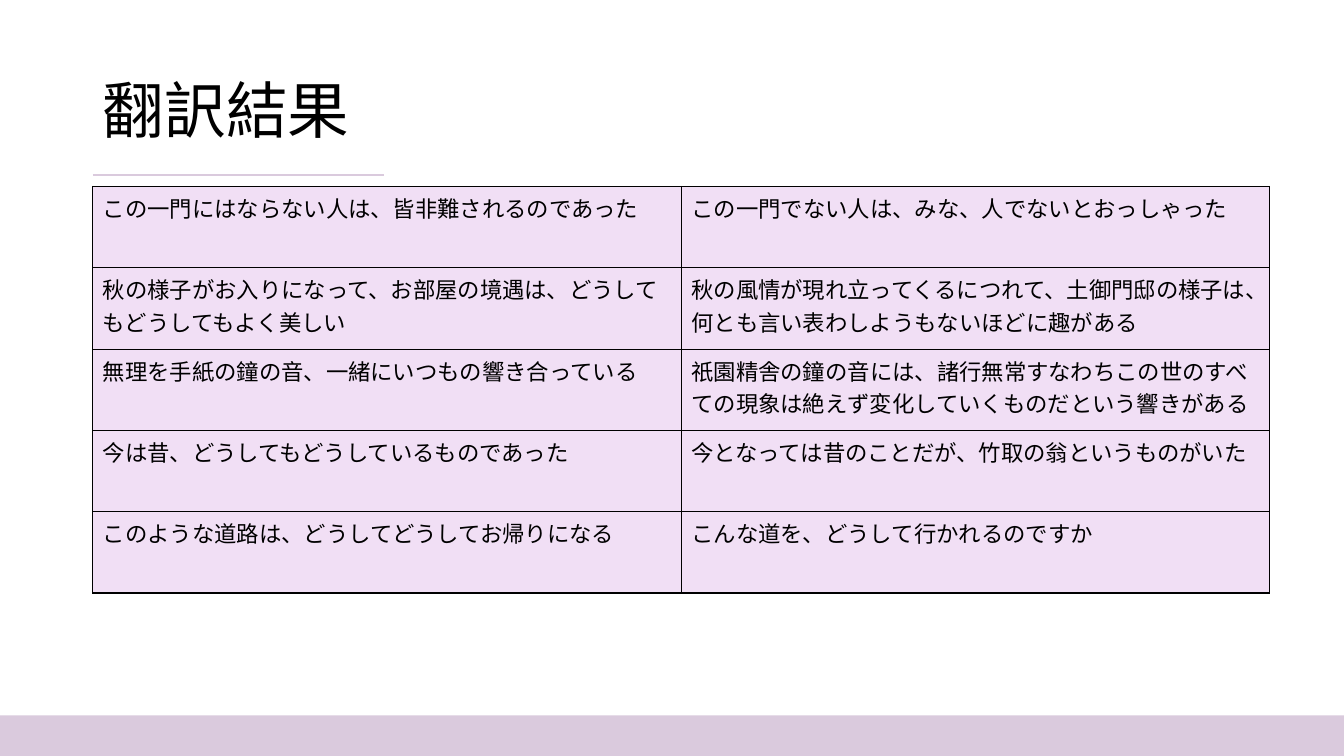
from typing import NamedTuple

from lxml.etree import SubElement
from pptx import Presentation
from pptx.dml.color import RGBColor
from pptx.enum.shapes import MSO_CONNECTOR, MSO_SHAPE
from pptx.enum.text import MSO_ANCHOR, MSO_AUTO_SIZE, PP_ALIGN
from pptx.oxml import parse_xml
from pptx.oxml.ns import nsdecls, qn
from pptx.slide import Slide
from pptx.table import _Cell
from pptx.text.text import TextFrame
from pptx.util import Cm, Pt

FONT = "Noto Sans CJK JP"
BLACK = RGBColor(0x00, 0x00, 0x00)
WHITE = RGBColor(0xFF, 0xFF, 0xFF)
MAUVE = RGBColor(0xDA, 0xCA, 0xDD)
PALE_LILAC = RGBColor(0xF1, 0xDF, 0xF5)

SLIDE_WIDTH, SLIDE_HEIGHT = Cm(33.87), Cm(19.05)
LEFT = Cm(2.34)
BAND_HEIGHT = Cm(1.02)
COLUMN_WIDTH, ROW_HEIGHT = Cm(14.83), Cm(2.05)


class Translation(NamedTuple):
    """A machine translation beside its reference translation."""
    machine: str
    reference: str


TRANSLATIONS = [
    Translation("この一門にはならない人は、皆非難されるのであった",
                "この⼀⾨でない⼈は、みな、⼈でないとおっしゃった"),
    Translation("秋の様子がお入りになって、お部屋の境遇は、どうしてもどうしてもよく美しい",
                "秋の風情が現れ立ってくるにつれて、土御門邸の様子は、何とも言い表わしようもないほどに趣がある"),
    Translation("無理を手紙の鐘の音、一緒にいつもの響き合っている",
                "祇園精舎の鐘の⾳には、諸⾏無常すなわちこの世のすべての現象は絶えず変化していくものだという響きがある"),
    Translation("今は昔、どうしてもどうしているものであった",
                "今となっては昔のことだが、竹取の翁というものがいた"),
    Translation("このような道路は、どうしてどうしてお帰りになる",
                "こんな道を、どうして行かれるのですか"),
]


def write_text(frame: TextFrame, text: str, *, size: float,
               color: RGBColor = BLACK, spacing: float = 1.0) -> None:
    """Write one left-aligned paragraph in the slide's font."""
    frame.word_wrap = True
    paragraph = frame.paragraphs[0]
    paragraph.alignment = PP_ALIGN.LEFT
    paragraph.line_spacing = spacing
    run = paragraph.add_run()
    run.text = text
    run.font.size = Pt(size)
    run.font.bold = False
    run.font.color.rgb = color
    run.font.name = FONT
    SubElement(run.font._element, qn("a:ea"), typeface=FONT)


def add_band(slide: Slide) -> None:
    """Draw the band along the bottom edge."""
    band = slide.shapes.add_shape(MSO_SHAPE.RECTANGLE, 0, SLIDE_HEIGHT - BAND_HEIGHT,
                                  SLIDE_WIDTH, BAND_HEIGHT)
    band.shadow.inherit = False
    band.fill.solid()
    band.fill.fore_color.rgb = MAUVE
    band.line.fill.background()


def set_title(slide: Slide, text: str) -> None:
    """Place and format the title placeholder."""
    title = slide.shapes.title
    title.left, title.top = LEFT, Cm(1.02)
    title.width, title.height = Cm(29.21), Cm(3.68)
    title.text_frame.auto_size = MSO_AUTO_SIZE.NONE
    title.text_frame.vertical_anchor = MSO_ANCHOR.MIDDLE
    write_text(title.text_frame, text, size=44, spacing=0.9)


def format_cell(cell: _Cell, text: str) -> None:
    """Give a cell its text, black borders and fill."""
    write_text(cell.text_frame, text, size=16)
    properties = cell._tc.get_or_add_tcPr()
    for side in "LRTB":
        properties.append(parse_xml(
            f'<a:ln{side} {nsdecls("a")} w="{Pt(1)}"><a:solidFill>'
            f'<a:srgbClr val="{BLACK}"/></a:solidFill></a:ln{side}>'))
    cell.fill.solid()
    cell.fill.fore_color.rgb = PALE_LILAC


def add_translations(slide: Slide, translations: list[Translation]) -> None:
    """Add the table that compares the translations."""
    columns = len(Translation._fields)
    comparison = slide.shapes.add_table(
        len(translations), columns, LEFT, Cm(4.7),
        COLUMN_WIDTH * columns, ROW_HEIGHT * len(translations)).table
    comparison.first_row = False
    comparison.horz_banding = False
    for row, translation in enumerate(translations):
        for column, text in enumerate(translation):
            format_cell(comparison.cell(row, column), text)


def add_underline(slide: Slide) -> None:
    """Draw the short rule under the title."""
    height = Cm(4.4)
    underline = slide.shapes.add_connector(MSO_CONNECTOR.STRAIGHT, LEFT, height,
                                           Cm(9.68), height)
    underline.line.color.rgb = MAUVE
    underline.line.width = Pt(1.5)
    SubElement(underline._element.spPr, qn("a:effectLst"))


def build() -> None:
    """Build the slide and save it."""
    presentation = Presentation()
    presentation.slide_width, presentation.slide_height = SLIDE_WIDTH, SLIDE_HEIGHT
    slide = presentation.slides.add_slide(presentation.slide_layouts.get_by_name("Title Only"))
    slide.background.fill.solid()
    slide.background.fill.fore_color.rgb = WHITE
    add_band(slide)
    set_title(slide, "翻訳結果")
    add_translations(slide, TRANSLATIONS)
    add_underline(slide)
    presentation.save("out.pptx")


build()
